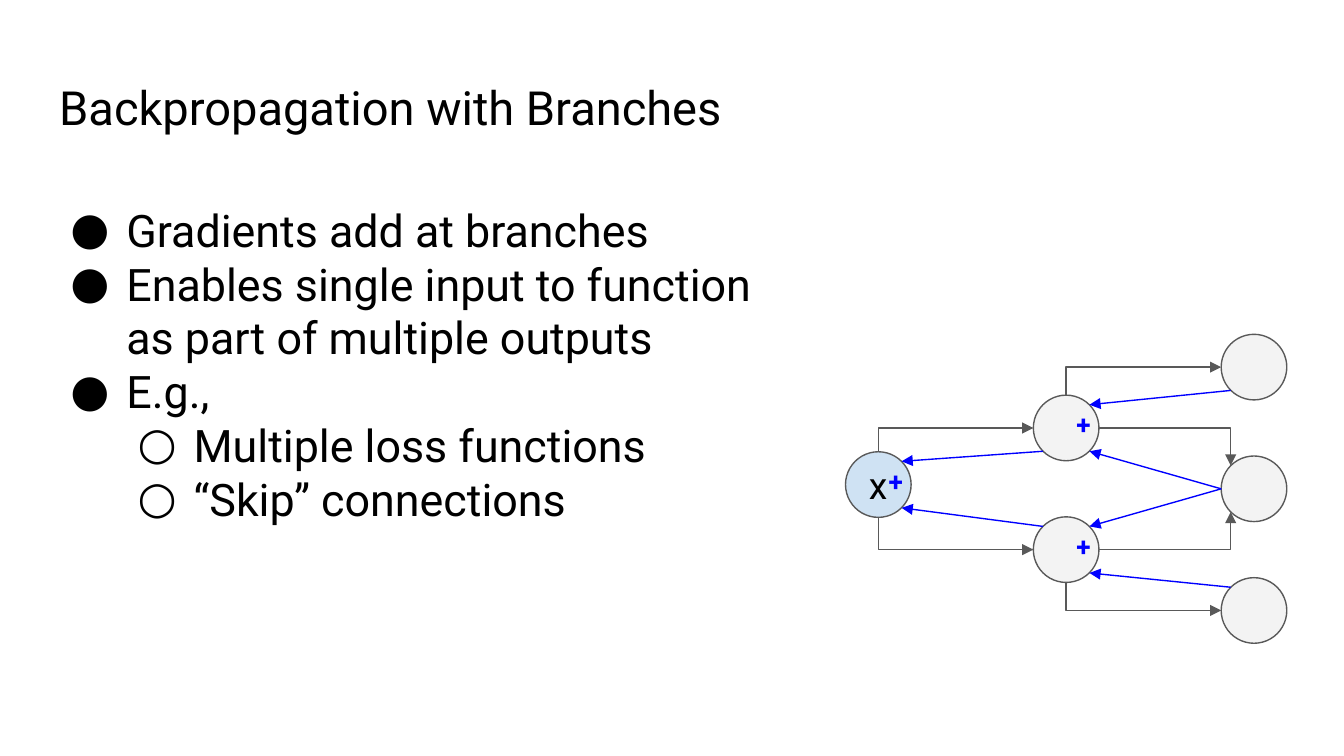
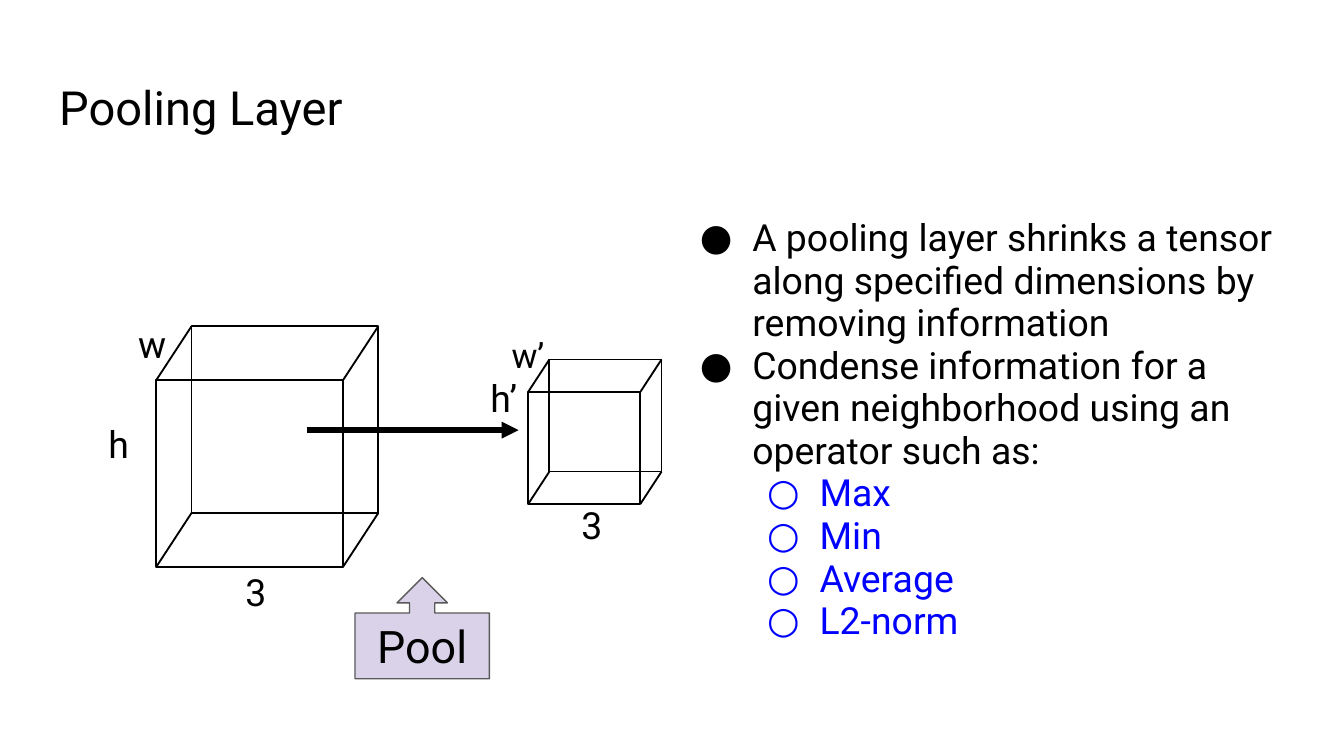
"""Build two lecture slides: backpropagation with branches, and the pooling layer."""
from pptx import Presentation
from pptx.dml.color import RGBColor
from pptx.enum.shapes import MSO_CONNECTOR as LINK, MSO_SHAPE as SHAPE
from pptx.enum.text import MSO_ANCHOR as ANCHOR, PP_ALIGN as ALIGN
from pptx.oxml.ns import qn
from pptx.oxml.xmlchemy import OxmlElement as Elem
from pptx.util import Cm, Pt

BLACK = RGBColor(0x00, 0x00, 0x00)
BLUE = RGBColor(0x00, 0x00, 0xFF)
GREY = RGBColor(0x59, 0x59, 0x59)
PALE = RGBColor(0xF3, 0xF3, 0xF3)
SKY = RGBColor(0xCF, 0xE2, 0xF3)
LILAC = RGBColor(0xD9, 0xD2, 0xE9)
FONT = "Roboto"
INSET = Cm(0.25)
RADIUS = 0.62
SLANT = 0.44
SIDES = {
    "N": (0, -RADIUS), "E": (RADIUS, 0), "W": (-RADIUS, 0), "S": (0, RADIUS),
    "NE": (SLANT, -SLANT), "SE": (SLANT, SLANT),
    "NW": (-SLANT, -SLANT), "SW": (-SLANT, SLANT),
}


def apply(target, values):
    """Set every attribute named in a dict."""
    for name, value in values.items():
        setattr(target, name, value)


def add_run(para, text, size, color=BLACK, bold=False):
    """Add one styled run to a paragraph."""
    run = para.add_run()
    run.text = text
    apply(run.font, {"name": FONT, "size": Pt(size), "bold": bold})
    run.font.color.rgb = color


def set_frame(frame, anchor=ANCHOR.TOP):
    """Give a text frame the common insets and wrapping."""
    apply(frame, {
        "margin_left": INSET, "margin_right": INSET, "margin_top": INSET,
        "margin_bottom": INSET, "word_wrap": True, "vertical_anchor": anchor,
    })


def add_box(slide, left, top, width, height):
    """Add an empty text box and return its frame."""
    box = slide.shapes.add_textbox(Cm(left), Cm(top), Cm(width), Cm(height))
    set_frame(box.text_frame)
    return box.text_frame


def add_title(slide, text):
    """Add the slide title."""
    frame = add_box(slide, 0.87, 1.24, 23.67, 1.6)
    add_run(frame.paragraphs[0], text, 25.2)


def add_label(slide, text, left, top, size=20):
    """Add a short label beside a cube."""
    para = add_box(slide, left, top, 1.19, 1.37).paragraphs[0]
    apply(para, {"line_spacing": 0.95, "space_after": Pt(12)})
    add_run(para, text, size)


def add_plus(slide, node):
    """Add the plus sign in the right half of a node."""
    x, y = node
    para = add_box(slide, x - 0.08, y - RADIUS, 0.82, 1.12).paragraphs[0]
    para.alignment = ALIGN.CENTER
    add_run(para, "+", 14, BLUE, True)


def add_mark(para, level, color, hang):
    """Add the bullet and the indent of a list level."""
    props = para._p.get_or_add_pPr()
    props.set("marL", str(Cm(1.27 * (level + 1))))
    props.set("indent", str(-Cm(hang)))
    tint = Elem("a:buClr")
    rgb = Elem("a:srgbClr")
    rgb.set("val", str(color))
    tint.append(rgb)
    face = Elem("a:buFont")
    face.set("typeface", FONT)
    mark = Elem("a:buChar")
    mark.set("char", "●○"[level])
    for item in (tint, face, mark):
        props.append(item)


def add_list(slide, place, items, size, hang, space=1.0, sub=BLACK):
    """Add a bulleted list of (level, text) items."""
    frame = add_box(slide, *place)
    for num, (level, text) in enumerate(items):
        para = frame.add_paragraph() if num else frame.paragraphs[0]
        color = sub if level else BLACK
        add_mark(para, level, color, hang)
        apply(para, {"level": level, "line_spacing": space})
        add_run(para, text, size, color)


def add_shape(slide, kind, place, fill, line=GREY, width=0.75, text="", size=20):
    """Add a preset shape, with centred text if any."""
    shape = slide.shapes.add_shape(kind, *(Cm(val) for val in place))
    shape.shadow.inherit = False
    if fill is None:
        shape.fill.background()
    else:
        shape.fill.solid()
        shape.fill.fore_color.rgb = fill
    shape.line.color.rgb = line
    shape.line.width = Pt(width)
    if text:
        set_frame(shape.text_frame, ANCHOR.MIDDLE)
        para = shape.text_frame.paragraphs[0]
        para.alignment = ALIGN.CENTER
        add_run(para, text, size)
    return shape


def add_node(slide, node, fill=PALE, text=""):
    """Add a round graph node around its centre."""
    x, y = node
    place = (x - RADIUS, y - RADIUS, 2 * RADIUS, 2 * RADIUS)
    add_shape(slide, SHAPE.OVAL, place, fill, text=text)


def add_line(slide, start, end, color, width=0.75, kind=LINK.STRAIGHT, arrow=True):
    """Add a connector, by default with an arrow at its end."""
    ends = (Cm(val) for val in (*start, *end))
    link = slide.shapes.add_connector(kind, *ends)
    link.line.color.rgb = color
    link.line.width = Pt(width)
    if arrow:
        tip = Elem("a:tailEnd")
        tip.set("type", "triangle")
        link.line._ln.append(tip)
    link._element.spPr.append(Elem("a:effectLst"))
    return link


def add_bend(slide, start, end, upright):
    """Add a one-corner arrow that leaves upright or level."""
    if upright:
        mid_x, mid_y = (start[0] + end[0]) / 2, (start[1] + end[1]) / 2
        half_x, half_y = (end[0] - start[0]) / 2, (end[1] - start[1]) / 2
        start = (mid_x + half_y, mid_y - half_x)
        end = (mid_x - half_y, mid_y + half_x)
    link = add_line(slide, start, end, GREY, kind=LINK.ELBOW)
    props = link._element.spPr
    props.find(qn("a:prstGeom")).set("prst", "bentConnector2")
    if upright:
        props.find(qn("a:xfrm")).set("rot", str(270 * 60000))


def rim(node, side):
    """Return the point on a node's rim at a compass side."""
    return tuple(mid + step for mid, step in zip(node, SIDES[side]))


def add_cube(slide, left, top, side):
    """Add a wire cube from its front face."""
    step_x, step_y = 0.19 * side, -0.29 * side
    for x, y in ((left, top), (left + step_x, top + step_y)):
        add_shape(slide, SHAPE.RECTANGLE, (x, y, side, side), None, BLACK, 1)
    for x in (left, left + side):
        for y in (top, top + side):
            back = (x + step_x, y + step_y)
            add_line(slide, (x, y), back, BLACK, 1, arrow=False)


def draw_graph(slide):
    """Draw the branching graph with its gradients."""
    root = (16.6, 9.16)
    high, low = [(20.15, 8.09 + 2.3 * row) for row in range(2)]
    first, mid, last = [(23.7, 6.94 + 2.3 * row) for row in range(3)]
    add_node(slide, root, SKY, "x")
    for node in (high, low, first, mid, last):
        add_node(slide, node)
    for start, side, end, goal in (
        (root, "N", high, "W"), (root, "S", low, "W"),
        (high, "N", first, "W"), (low, "S", last, "W"),
        (low, "E", mid, "SW"), (high, "E", mid, "NW"),
    ):
        add_bend(slide, rim(start, side), rim(end, goal), side in "NS")
    for start, side, end, goal in (
        (first, "SW", high, "NE"), (mid, "W", high, "SE"),
        (mid, "W", low, "NE"), (last, "NW", low, "SE"),
        (low, "NW", root, "SE"), (high, "SW", root, "NE"),
    ):
        add_line(slide, rim(start, side), rim(end, goal), BLUE)
    for node in (high, low, root):
        add_plus(slide, node)


def fill_branch(slide):
    """Fill the slide on branches."""
    add_title(slide, "Backpropagation with Branches")
    add_list(slide, (0.87, 3.58, 14.48, 6.68), (
        (0, "Gradients add at branches"),
        (0, "Enables single input to function as part of multiple outputs"),
        (0, "E.g.,"),
        (1, "Multiple loss functions"),
        (1, "“Skip” connections"),
    ), 24, 1.06)
    draw_graph(slide)


def fill_pool(slide):
    """Fill the slide on pooling."""
    add_title(slide, "Pooling Layer")
    add_cube(slide, 2.95, 7.19, 3.53)
    add_cube(slide, 9.98, 7.41, 2.12)
    for label in (
        ("w", 2.36, 5.89), ("h", 1.8, 7.77), ("3", 4.39, 10.57),
        ("w’", 9.42, 6.12, 18.5), ("h’", 9.02, 6.91), ("3", 10.74, 9.3),
    ):
        add_label(slide, *label)
    add_line(slide, (5.8, 8.13), (9.8, 8.13), BLACK, 3)
    call = add_shape(slide, SHAPE.UP_ARROW_CALLOUT, (6.71, 10.92, 2.54, 1.91),
                     LILAC, text="Pool", size=24)
    call.adjustments[3] = 0.65
    add_list(slide, (12.7, 3.86, 11.84, 9.55), (
        (0, "A pooling layer shrinks a tensor along specified dimensions "
            "by removing information"),
        (0, "Condense information for a given neighborhood using an "
            "operator such as:"),
        (1, "Max"),
        (1, "Min"),
        (1, "Average"),
        (1, "L2-norm"),
    ), 20, 0.99, 0.95, BLUE)


def main():
    """Build and save the deck."""
    deck = Presentation()
    apply(deck, {"slide_width": Cm(25.4), "slide_height": Cm(14.29)})
    for fill in (fill_branch, fill_pool):
        fill(deck.slides.add_slide(deck.slide_layouts[6]))
    deck.save("out.pptx")


if __name__ == "__main__":
    main()
